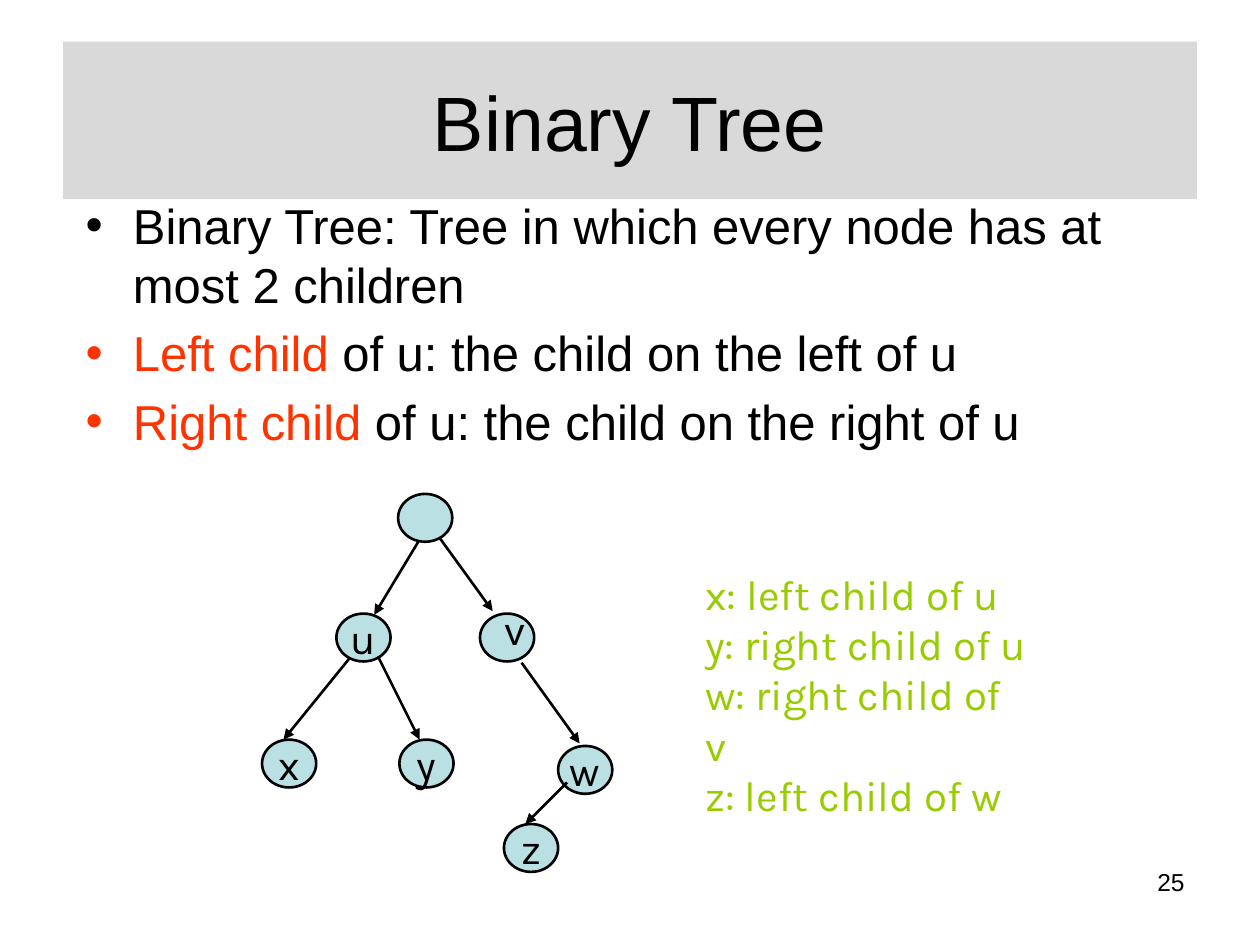
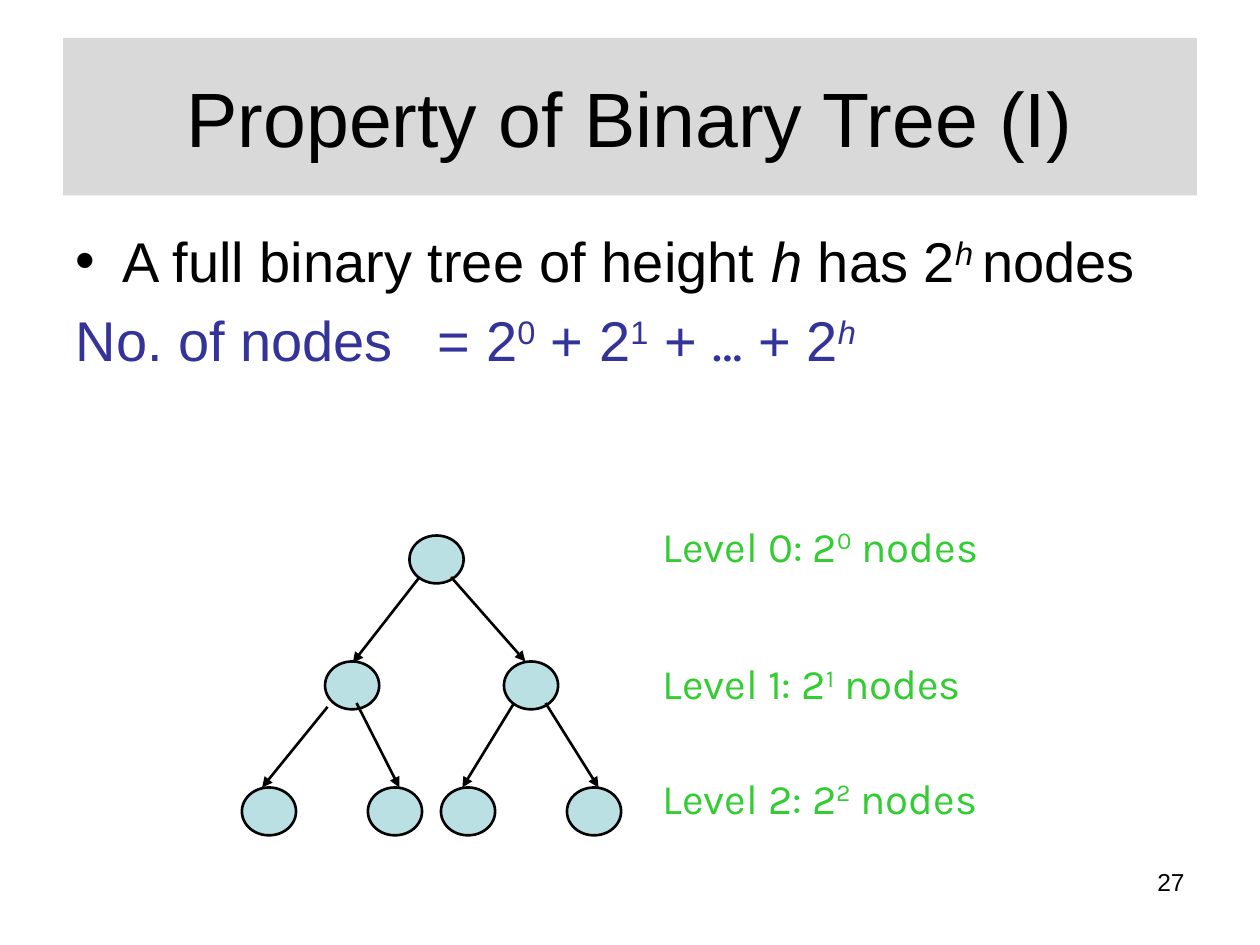
"""Build two slides on binary trees: child naming and the nodes per level."""
from dataclasses import dataclass
from typing import Optional

from lxml import etree
from pptx import Presentation
from pptx.dml.color import RGBColor
from pptx.enum import shapes, text
from pptx.oxml import ns
from pptx.util import Inches, Pt

BLACK = RGBColor(0x00, 0x00, 0x00)
BAND_GREY = RGBColor(0xD9, 0xD9, 0xD9)
NODE_BLUE = RGBColor(0xBB, 0xE0, 0xE3)
TERM_RED = RGBColor(0xFF, 0x33, 0x00)
FORMULA_BLUE = RGBColor(0x33, 0x33, 0x99)
CHILD_GREEN = RGBColor(0x99, 0xCC, 0x00)
LEVEL_GREEN = RGBColor(0x33, 0xCC, 0x33)

MAIN_FONT = "Arial"
TREE_FONT = "Karla"
NODE_WIDTH, NODE_HEIGHT = 0.43, 0.38


@dataclass
class Span:
    """A piece of text with the formatting that sets it apart."""
    words: str
    color: RGBColor = BLACK
    italic: bool = False
    raised: bool = False
    font: Optional[str] = None


def place(shape, left, top, width, height):
    """Move and size a shape, in inches."""
    shape.left, shape.top = Inches(left), Inches(top)
    shape.width, shape.height = Inches(width), Inches(height)


def write(para, spans, size, font):
    """Fill a paragraph with formatted spans."""
    for span in spans:
        run = para.add_run()
        run.text = span.words
        run.font.size = Pt(size)
        run.font.name = span.font or font
        run.font.color.rgb = span.color
        if span.italic:
            run.font.italic = True
        if span.raised:
            run.font._element.set("baseline", "30000")


def fill_frame(frame, lines, size, font):
    """Write one paragraph for each list of spans."""
    for index, spans in enumerate(lines):
        para = frame.add_paragraph() if index else frame.paragraphs[0]
        write(para, spans, size, font)


def add_page(deck, title, band_top, number):
    """Add a slide with its grey title band and page number."""
    page = deck.slides.add_slide(deck.slide_layouts[1])
    band = page.shapes.title
    place(band, 0.5, band_top, 9, 1.25)
    band.fill.solid()
    band.fill.fore_color.rgb = BAND_GREY
    fill_frame(band.text_frame, [[Span(title)]], 44, MAIN_FONT)
    label = add_label(page, (7.17, 6.83, 2.33, 0.52), [[Span(number)]], 14, MAIN_FONT)
    label.text_frame.paragraphs[0].alignment = text.PP_ALIGN.RIGHT
    return page


def add_body(page, frame, lines, size):
    """Place the body list and return its paragraphs."""
    body = page.placeholders[1]
    place(body, *frame)
    body.text_frame.auto_size = text.MSO_AUTO_SIZE.NONE
    fill_frame(body.text_frame, lines, size, MAIN_FONT)
    paras = body.text_frame.paragraphs
    paras[0].space_before = Pt(0)
    return paras


def remove_bullet(para):
    """Hide the bullet of a paragraph."""
    etree.SubElement(para._p.get_or_add_pPr(), ns.qn("a:buNone"))


def add_label(page, frame, lines, size=24, font=TREE_FONT):
    """Add a wrapping text box."""
    box = page.shapes.add_textbox(*map(Inches, frame))
    box.text_frame.word_wrap = True
    fill_frame(box.text_frame, lines, size, font)
    return box


def add_node(page, left, top, name=""):
    """Add a tree node, with its name centred inside."""
    node = page.shapes.add_shape(
        shapes.MSO_SHAPE.OVAL, Inches(left), Inches(top),
        Inches(NODE_WIDTH), Inches(NODE_HEIGHT))
    node.shadow.inherit = False
    node.fill.solid()
    node.fill.fore_color.rgb = NODE_BLUE
    node.line.color.rgb = BLACK
    node.line.width = Pt(1.5)
    if name:
        frame = node.text_frame
        frame.word_wrap = False
        frame.vertical_anchor = text.MSO_ANCHOR.MIDDLE
        frame.paragraphs[0].alignment = text.PP_ALIGN.CENTER
        fill_frame(frame, [[Span(name)]], 24, TREE_FONT)


def add_edge(page, start, end):
    """Add an arrow from a parent towards its child."""
    edge = page.shapes.add_connector(
        shapes.MSO_CONNECTOR.STRAIGHT, *map(Inches, start + end))
    edge.line.color.rgb = BLACK
    edge.line.width = Pt(1.5)
    etree.SubElement(edge.line._get_or_add_ln(), ns.qn("a:tailEnd"), type="triangle")
    etree.SubElement(edge._element.spPr, ns.qn("a:effectLst"))


def add_tree(page, nodes, edges):
    """Draw all nodes, then the arrows between them."""
    for node in nodes:
        add_node(page, *node)
    for start, end in edges:
        add_edge(page, start, end)


def build_definition(deck):
    """Define left and right children on a sample tree."""
    page = add_page(deck, "Binary Tree", 0.33, "25")
    add_body(page, (0.58, 1.5, 9, 2.52), [
        [Span("Binary Tree: Tree in which every node has at most 2 children")],
        [Span("Left child", TERM_RED), Span(" of u: the child on the left of u")],
        [Span("Right child", TERM_RED), Span(" of u: the child on the right of u")],
    ], 28)
    nodes = [
        (3.16, 3.92), (2.67, 4.87, "u"), (3.81, 4.87), (2.08, 5.87, "x"),
        (3.17, 5.87, "y"), (4, 6.54, "z"), (4.43, 5.92, "w"),
    ]
    edges = [
        ((3.32, 4.3), (2.97, 4.88)), ((3.49, 4.27), (3.91, 4.85)),
        ((2.77, 5.23), (2.25, 5.87)), ((3, 5.21), (3.33, 5.87)),
        ((4.5, 6.21), (4.17, 6.54)), ((4.14, 5.26), (4.6, 5.9)),
    ]
    add_tree(page, nodes, edges)
    v_label = add_label(page, (3.9, 4.74, 0.37, 0.5), [[Span("v")]])
    v_label.text_frame.word_wrap = False
    v_label.text_frame.paragraphs[0].alignment = text.PP_ALIGN.CENTER
    relations = ["x: left child of u", "y: right child of u",
                 "w: right child of v", "z: left child of w"]
    add_label(page, (5.5, 4.46, 2.79, 1.7),
              [[Span(relation, CHILD_GREEN)] for relation in relations])


def build_property(deck):
    """Count the nodes of a full tree level by level."""
    page = add_page(deck, "Property of Binary Tree (I)", 0.3, "27")
    paras = add_body(page, (0.5, 1.75, 9, 4.95), [
        [Span("A full binary tree of height "), Span("h", italic=True),
         Span(" has 2"), Span("h ", italic=True, raised=True), Span("nodes")],
        [Span("No. of nodes \t= 2", FORMULA_BLUE),
         Span("0", FORMULA_BLUE, raised=True), Span(" + 2", FORMULA_BLUE),
         Span("1", FORMULA_BLUE, raised=True), Span(" + ", FORMULA_BLUE),
         Span("…", FORMULA_BLUE, font=TREE_FONT), Span(" + 2", FORMULA_BLUE),
         Span("h", FORMULA_BLUE, italic=True, raised=True)],
    ], 32)
    remove_bullet(paras[1])
    level_lefts = {4.25: [3.25], 5.25: [2.58, 4], 6.25: [1.92, 2.92, 3.5, 4.5]}
    nodes = [(left, top) for top, lefts in level_lefts.items() for left in lefts]
    edges = [
        ((3.33, 4.58), (2.8, 5.26)), ((3.58, 4.58), (4.17, 5.25)),
        ((2.6, 5.61), (2.08, 6.25)), ((2.83, 5.58), (3.17, 6.25)),
        ((4.08, 5.58), (3.67, 6.25)), ((4.33, 5.58), (4.75, 6.25)),
    ]
    add_tree(page, nodes, edges)
    for level, top in enumerate([4.08, 5.17, 6.08]):
        add_label(page, (5.16, top, 2.78, 0.51), [[
            Span(f"Level {level}: 2", LEVEL_GREEN),
            Span(str(level), LEVEL_GREEN, raised=True),
            Span(" nodes", LEVEL_GREEN)]])


def main():
    """Create the deck and save it."""
    deck = Presentation()
    deck.slide_width, deck.slide_height = Inches(10), Inches(7.5)
    build_definition(deck)
    build_property(deck)
    deck.save("out.pptx")


if __name__ == "__main__":
    main()
